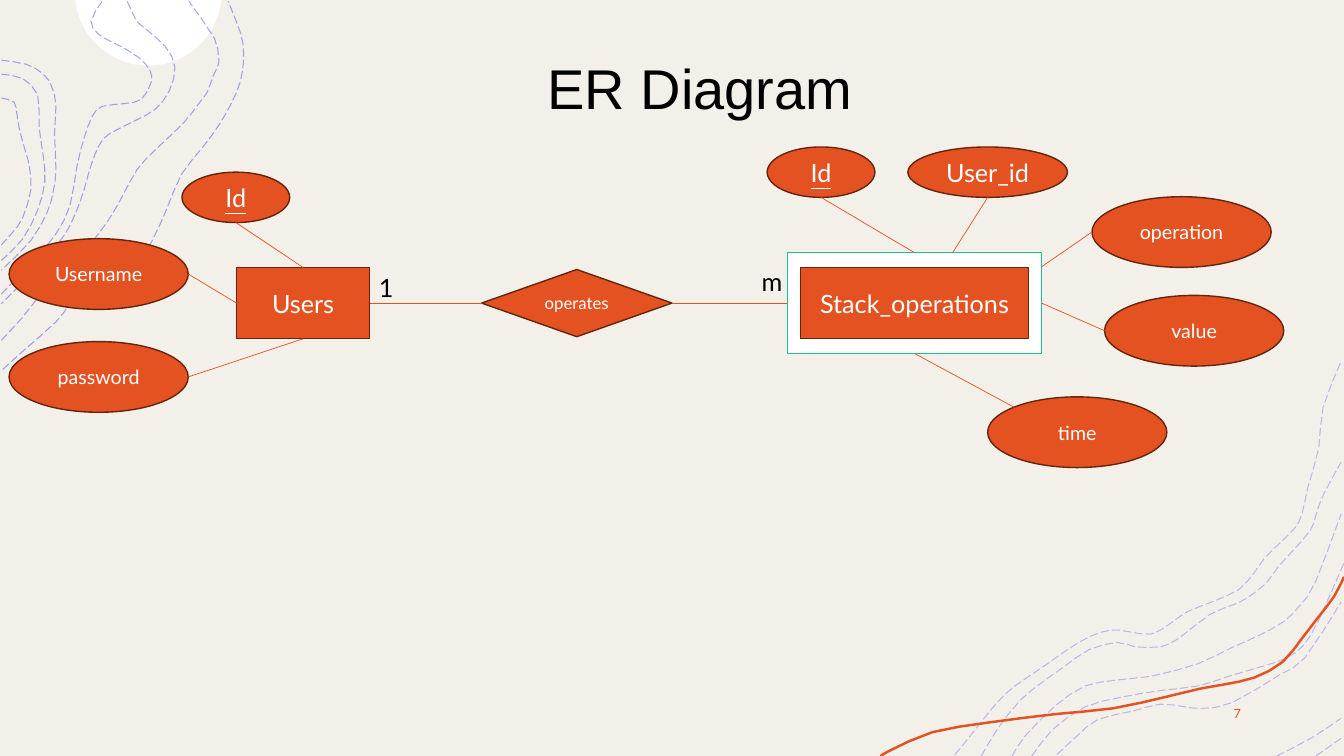
import math

import lxml.etree
import pptx
import pptx.dml.color
import pptx.enum.dml
import pptx.enum.shapes
import pptx.enum.text
import pptx.oxml.ns
import pptx.util

Pt = pptx.util.Pt
RGB = pptx.dml.color.RGBColor
KIND = pptx.enum.shapes.MSO_SHAPE
ALIGN = pptx.enum.text.PP_ALIGN
ANCHOR = pptx.enum.text.MSO_ANCHOR
DASH = pptx.enum.dml.MSO_LINE.LONG_DASH
CREAM = RGB(0xF3, 0xF0, 0xE9)
WHITE = RGB(0xFF, 0xFF, 0xFF)
BLACK = RGB(0, 0, 0)
ORANGE = RGB(0xE4, 0x52, 0x21)
BROWN = RGB(0x64, 0x24, 0x0E)
TEAL = RGB(0x1E, 0xBE, 0x9B)
BLUE = RGB(0x4D, 0x4E, 0xE6)

LEFT = [
    [(2, 264), (14, 253), (40, 230), (48, 220), (61, 210), (79, 199), (91, 194), (102, 184), (114, 161),
     (120, 147), (130, 124), (145, 105), (158, 87), (169, 66), (173, 52), (174, 38), (172, 24), (163, 1)],
    [(1, 243), (15, 228), (27, 213), (45, 194), (63, 176), (77, 158), (87, 141), (98, 121), (111, 107),
     (131, 88), (142, 74), (148, 66), (152, 55), (156, 46), (156, 40), (153, 27), (135, 1)],
    [(91, 1), (97, 14), (102, 19), (118, 33), (125, 48), (121, 65), (111, 78), (97, 86), (83, 93), (74, 99),
     (68, 110), (63, 125), (60, 136), (55, 150), (49, 163), (43, 172), (30, 188), (11, 207), (1, 217)],
    [(1, 210), (25, 185), (40, 167), (50, 147), (55, 119), (60, 99), (66, 83), (73, 76), (89, 74), (101, 71),
     (108, 59), (107, 50), (99, 41), (86, 33), (71, 25), (65, 15), (73, 1)],
    [(1, 43), (19, 46), (31, 53), (37, 62), (40, 75), (39, 95), (40, 122), (38, 137), (34, 151), (22, 172),
     (1, 193)],
    [(1, 53), (16, 56), (27, 68), (28, 91), (31, 112), (32, 130), (27, 150), (16, 171), (1, 186)],
    [(1, 70), (10, 73), (12, 81), (14, 93), (19, 111), (21, 119), (22, 136), (16, 156), (9, 166), (1, 175)],
]
RIGHT = [
    [(62, 289), (68, 282), (83, 263), (94, 250), (105, 240), (127, 225), (144, 213), (160, 204), (174, 200),
     (185, 201), (202, 203), (215, 196), (228, 187), (248, 179), (265, 171), (276, 159), (283, 149),
     (292, 140), (305, 127), (310, 117), (314, 99), (322, 70), (325, 41), (338, 8)],
    [(81, 290), (93, 270), (109, 250), (125, 237), (139, 227), (158, 214), (178, 209), (191, 212), (209, 212),
     (222, 206), (244, 189), (261, 182), (271, 177), (284, 167), (293, 155), (302, 145), (316, 129),
     (320, 118), (325, 104), (338, 80)],
    [(320, 290), (340, 276)],
    [(292, 290), (317, 277), (338, 263)],
    [(135, 289), (149, 276), (164, 264), (189, 258), (209, 253), (227, 255), (239, 256), (260, 252),
     (294, 232), (312, 220), (338, 180)],
    [(117, 290), (132, 271), (155, 255), (181, 248), (211, 243), (236, 240), (258, 233), (285, 225),
     (299, 220), (311, 211), (322, 193), (340, 152)],
    [(103, 290), (112, 276), (134, 254), (155, 240), (176, 236), (194, 234), (207, 232), (236, 224),
     (259, 213), (279, 204), (297, 194), (309, 182), (320, 165), (338, 117)],
]
RIBBON = [(9, 290), (16, 286), (46, 273), (87, 266), (135, 260), (175, 256), (212, 248), (237, 242),
          (254, 239), (276, 234), (296, 223), (310, 206), (320, 193), (333, 176), (340, 162)]

SMALL, WIDE, BIG = (77, 36), (114, 36), (128, 50.5)
TOP, LEFT_MID, BOTTOM, RIGHT_MID = range(4)
USERS = [
    ("Id", (-39, -68), SMALL, 18, True, (0.5, 1), TOP),
    ("Username", (-162.5, -20.5), BIG, 14, False, (1, 0.5), LEFT_MID),
    ("password", (-162.5, 53), BIG, 14, False, (1, 0.5), BOTTOM),
]
STACK = [
    ("Id", (-14.5, -75.5), SMALL, 18, True, (0.5, 1), TOP),
    ("User_id", (86, -75.5), WIDE, 18, False, (0.5, 1), (0.65, 0)),
    ("operation", (217.5, -40), BIG, 14, False, (0, 0.5), (1, 0.14)),
    ("value", (226.5, 30.5), BIG, 14, False, (0, 0.5), RIGHT_MID),
    ("time", (143, 103), BIG, 14, False, (0.15, 0.15), BOTTOM),
]


def put(thing, vals):
    """Set each named value on an object."""
    for name, val in vals.items():
        setattr(thing, name, val)


def write(frame, text, size, color, align, under=None, face="Lato"):
    """Write one formatted line into a text frame."""
    para = frame.paragraphs[0]
    para.alignment = align
    run = para.add_run()
    run.text = text
    put(run.font, {"size": Pt(size), "name": face, "underline": under})
    run.font.color.rgb = color
    return para, run


def paint(shape, fill, line, width=1):
    """Give a shape its fill and outline and no shadow."""
    shape.shadow.inherit = False
    shape.fill.solid()
    shape.fill.fore_color.rgb = fill
    shape.line.color.rgb = line
    shape.line.width = Pt(width)


def node(slide, kind, box, text, size, under=None):
    """Draw one orange diagram shape with a centred label."""
    shape = slide.shapes.add_shape(kind, *map(Pt, box))
    paint(shape, ORANGE, BROWN)
    put(shape.text_frame, {"word_wrap": True, "vertical_anchor": ANCHOR.MIDDLE})
    write(shape.text_frame, text, size, WHITE, ALIGN.CENTER, under)
    return shape


def spot(box, part):
    """Return the point at a fraction of a box."""
    return box[0] + part[0] * box[2], box[1] + part[1] * box[3]


def link(slide, start, end):
    """Draw a thin line between points or (shape, site) pairs."""
    ends = [(0, 0) if hasattr(e[0], "shape_id") else e for e in (start, end)]
    line = slide.shapes.add_connector(pptx.enum.shapes.MSO_CONNECTOR.STRAIGHT, *map(Pt, ends[0] + ends[1]))
    for goal, join in ((start, line.begin_connect), (end, line.end_connect)):
        if hasattr(goal[0], "shape_id"):
            join(*goal)
    line.line.color.rgb = ORANGE
    line.line.width = Pt(0.5)
    lxml.etree.SubElement(line._element.spPr, pptx.oxml.ns.qn("a:effectLst"))


def entity(slide, box, text, traits, frame=False):
    """Draw an entity, framed if weak, with its attributes around it."""
    x, y, w, h = box
    if frame:
        body = slide.shapes.add_shape(KIND.RECTANGLE, *map(Pt, box))
        paint(body, WHITE, TEAL)
        node(slide, KIND.RECTANGLE, (x + 9.5, y + 10.5, w - 19, h - 21), text, 18)
    else:
        body = node(slide, KIND.RECTANGLE, box, text, 18)
    for label, (dx, dy), size, font, under, part, goal in traits:
        oval = (x + dx, y + dy, *size)
        node(slide, KIND.OVAL, oval, label, font, under)
        end = (body, goal) if isinstance(goal, int) else spot(box, goal)
        link(slide, spot(oval, part), end)
    return body


def note(slide, box, text, size, color, align, wrap):
    """Place a plain text box."""
    frame = slide.shapes.add_textbox(*map(Pt, box)).text_frame
    frame.word_wrap = wrap
    return write(frame, text, size, color, align)


def graph(slide, x, y):
    """Draw both entities and the relation between them."""
    users = entity(slide, (x + 169, y + 86, 95, 51), "Users", USERS)
    stack = entity(slide, (x + 562.5, y + 75.5, 181.5, 72), "Stack_operations", STACK, True)
    bond = node(slide, KIND.FLOWCHART_DECISION, (x + 344, y + 87.5, 136, 48), "operates", 12)
    link(slide, (users, RIGHT_MID), (bond, LEFT_MID))
    link(slide, (bond, RIGHT_MID), (stack, LEFT_MID))
    for dx, dy, w, text in ((263.5, 86, 25, "1"), (537, 82, 30, "m")):
        note(slide, (x + dx, y + dy, w, 29), text, 18, BLACK, ALIGN.LEFT, False)


def smooth(pts):
    """Add a rounded midpoint between each pair of points."""
    pad = [pts[0], *pts, pts[-1]]
    out = [pts[0]]
    for a, b, c, d in zip(pad, pad[1:], pad[2:], pad[3:]):
        mid = tuple((9 * (q + r) - p - s) / 16 for p, q, r, s in zip(a, b, c, d))
        out += [mid, c]
    return out


def trace(slide, x, y, pts, close=False):
    """Draw an outline through points placed from a corner."""
    spots = [(Pt(x + px), Pt(y + py)) for px, py in pts]
    pen = slide.shapes.build_freeform(*spots[0])
    pen.add_line_segments(spots[1:], close=close)
    shape = pen.convert_to_shape()
    shape.shadow.inherit = False
    return shape


def waves(slide, x, y, curves, alpha):
    """Draw a group of faint dashed contour lines."""
    for pts in curves:
        shape = trace(slide, x, y, smooth(pts))
        shape.fill.background()
        shape.line.color.rgb = BLUE
        put(shape.line, {"width": Pt(0.75), "dash_style": DASH})
        tint = shape.line._ln.find(".//" + pptx.oxml.ns.qn("a:srgbClr"))
        lxml.etree.SubElement(tint, pptx.oxml.ns.qn("a:alpha"), val=str(alpha * 1000))


def decor(slide, w, h):
    """Draw the corner ornaments of the slide."""
    arc = [math.radians(a) for a in range(6, 175, 6)]
    moon = trace(slide, 106, -5.5, [(52.5 * math.cos(a), 52.5 * math.sin(a)) for a in arc], True)
    paint(moon, WHITE, WHITE)
    moon.line.fill.background()
    waves(slide, 0, 0, LEFT, 50)
    waves(slide, w - 340, h - 290, RIGHT, 35)
    band = trace(slide, w - 340, h - 290, smooth(RIBBON))
    band.fill.background()
    band.line.color.rgb = ORANGE
    band.line.width = Pt(1.75)


def head(slide, box, text):
    """Place and format the title."""
    title = slide.shapes.title
    put(title, dict(zip(("left", "top", "width", "height"), map(Pt, box))))
    title.text_frame.vertical_anchor = ANCHOR.TOP
    para, _ = write(title.text_frame, text, 40, BLACK, ALIGN.CENTER, face="Arial")
    put(para, {"line_spacing": 1.1, "space_before": Pt(10)})


def main():
    """Build the slide and save it."""
    deck = pptx.Presentation()
    put(deck, {"slide_width": Pt(960), "slide_height": Pt(540)})
    slide = deck.slides.add_slide(deck.slide_layouts[5])
    slide.background.fill.solid()
    slide.background.fill.fore_color.rgb = CREAM
    decor(slide, 960, 540)
    _, run = note(slide, (780, 500.5, 113.5, 29), "7", 9, ORANGE, ALIGN.RIGHT, True)
    run.font._element.set("spc", "200")
    graph(slide, 0, 105)
    head(slide, (107, 30, 786, 118), "ER Diagram")
    deck.save("out.pptx")


if __name__ == "__main__":
    main()
